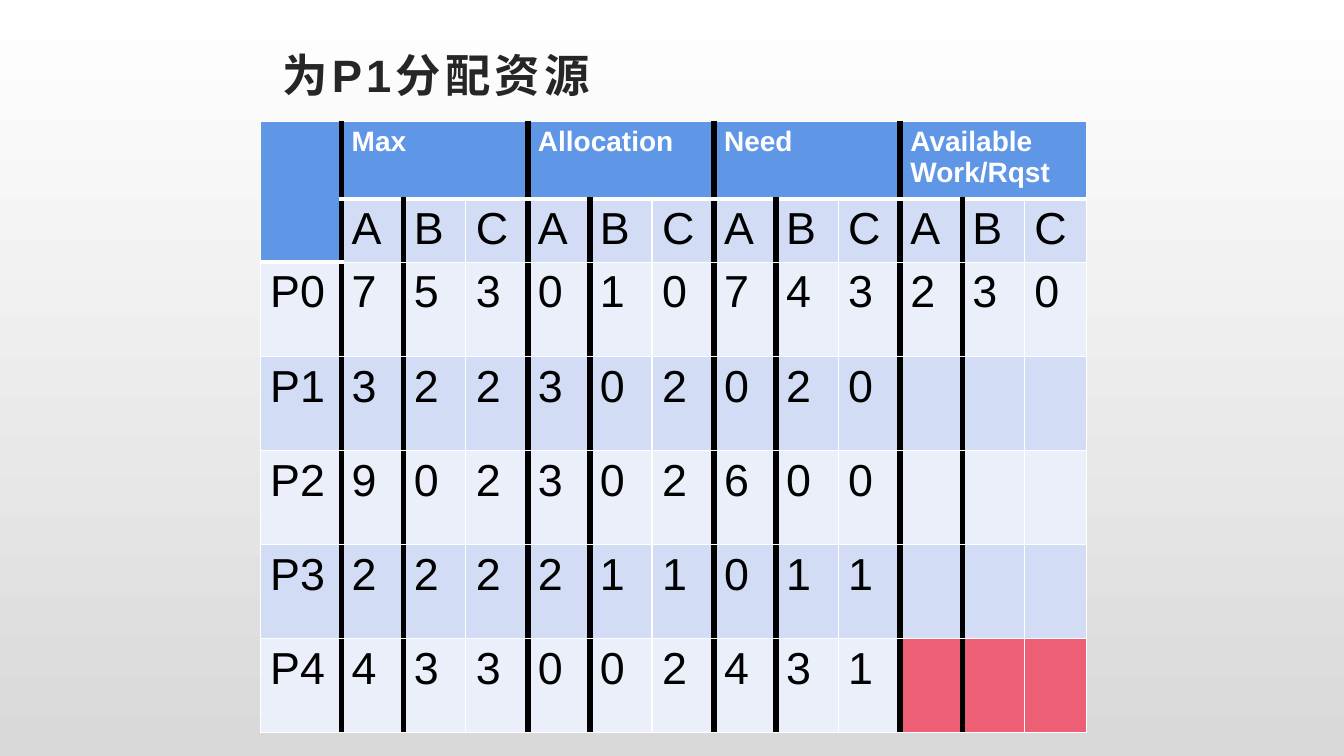
"""Build a slide with the banker's algorithm resource table for P1."""
from lxml.etree import SubElement
from pptx import Presentation
from pptx.dml.color import RGBColor
from pptx.enum.text import MSO_ANCHOR, PP_ALIGN
from pptx.oxml.ns import qn
from pptx.util import Pt

TITLE = "为P1分配资源"
GROUPS = ["Max", "Allocation", "Need", "Available\nWork/Rqst"]
RESOURCES = ["A", "B", "C"]
PROCESSES = [
    ("P0", "753", "010", "743", "230"),
    ("P1", "322", "302", "020", ""),
    ("P2", "902", "302", "600", ""),
    ("P3", "222", "211", "011", ""),
    ("P4", "433", "002", "431", ""),
]
COLORS = {
    "title": "262626", "header": "6096E6", "dark_band": "D2DDF5",
    "light_band": "EAEFFA", "alert": "EC5F74", "white": "FFFFFF",
    "black": "000000", "bottom": "D9D9D9",
}
FONT = "Arial"
TITLE_BOX = (194.4, 28.8, 572.4, 49)
TABLE_LEFT, TABLE_TOP = 185.8, 86.6
NAME_WIDTH, VALUE_WIDTH = 58.2, 44.35
ROW_HEIGHTS = [55.4, 45.4] + [67.2] * len(PROCESSES)
THIN, MEDIUM, THICK = 1, 3, 4.5


def rgb(name):
    return RGBColor.from_string(COLORS[name])


def add_run(para, text, size, color, bold):
    span = para.add_run()
    span.text = text
    span.font.name = FONT
    span.font.size = Pt(size)
    span.font.bold = bold
    span.font.color.rgb = rgb(color)
    return span


def write_cell(cell, text, size, color, bold):
    frame = cell.text_frame
    for number, line in enumerate(text.split("\n")):
        para = frame.add_paragraph() if number else frame.paragraphs[0]
        add_run(para, line, size, color, bold)


def column_line(row, edge):
    """Return the line right of a column: thick at groups and after each A."""
    inner = 0 <= edge < len(GROUPS) * 3
    thick = inner and (edge % 3 == 0 or (edge % 3 == 1 and row > 0))
    return ("black", THICK) if thick else ("white", THIN)


def row_line(row, col):
    """Return the line below a row: heavier under the header cells."""
    under_header = (row == 0 and col > 0) or (row == 1 and col == 0)
    return ("white", MEDIUM if under_header else THIN)


def set_borders(cell, row, col):
    lines = {
        "a:lnL": column_line(row, col - 1),
        "a:lnR": column_line(row, col),
        "a:lnT": row_line(row - 1, col),
        "a:lnB": row_line(row, col),
    }
    properties = cell._tc.get_or_add_tcPr()
    for tag, (color, width) in lines.items():
        line = SubElement(properties, qn(tag), w=str(Pt(width)), cmpd="sng")
        fill = SubElement(line, qn("a:solidFill"))
        SubElement(fill, qn("a:srgbClr"), val=COLORS[color])


def cell_fill(row, col):
    if row == 0 or (row == 1 and col == 0):
        return "header"
    if row == len(PROCESSES) + 1 and col > 9:
        return "alert"
    return "dark_band" if row % 2 else "light_band"


def add_title(page):
    box = page.shapes.title
    box.left, box.top, box.width, box.height = map(Pt, TITLE_BOX)
    frame = box.text_frame
    frame.vertical_anchor = MSO_ANCHOR.MIDDLE
    para = frame.paragraphs[0]
    para.alignment = PP_ALIGN.LEFT
    span = add_run(para, TITLE, 32.4, "title", True)
    span.font._element.set("spc", "300")


def add_resource_table(page):
    columns = 1 + len(GROUPS) * len(RESOURCES)
    width = NAME_WIDTH + VALUE_WIDTH * (columns - 1)
    table = page.shapes.add_table(
        len(ROW_HEIGHTS), columns, Pt(TABLE_LEFT), Pt(TABLE_TOP),
        Pt(width), Pt(sum(ROW_HEIGHTS))).table
    table.first_row = table.horz_banding = False
    for col, column in enumerate(table.columns):
        column.width = Pt(VALUE_WIDTH if col else NAME_WIDTH)
    for row, height in enumerate(ROW_HEIGHTS):
        table.rows[row].height = Pt(height)
        for col in range(columns):
            cell = table.cell(row, col)
            set_borders(cell, row, col)
            cell.fill.solid()
            cell.fill.fore_color.rgb = rgb(cell_fill(row, col))

    table.cell(0, 0).merge(table.cell(1, 0))
    for group, label in enumerate(GROUPS):
        start = 1 + group * len(RESOURCES)
        table.cell(0, start).merge(table.cell(0, start + 2))
        write_cell(table.cell(0, start), label, 20, "white", True)
        for offset, resource in enumerate(RESOURCES):
            write_cell(table.cell(1, start + offset), resource, 32, "black", False)
        for row, process in enumerate(PROCESSES, 2):
            for offset, value in enumerate(process[group + 1]):
                write_cell(table.cell(row, start + offset), value, 32, "black", False)
    for row, process in enumerate(PROCESSES, 2):
        write_cell(table.cell(row, 0), process[0], 32, "black", False)


def main():
    deck = Presentation()
    deck.slide_width, deck.slide_height = Pt(960), Pt(540)
    page = deck.slides.add_slide(deck.slide_layouts[5])
    backdrop = page.background.fill
    backdrop.gradient()
    backdrop.gradient_angle = 270
    for stop, color in zip(backdrop.gradient_stops, ("white", "bottom")):
        stop.color.rgb = rgb(color)
    add_title(page)
    add_resource_table(page)
    deck.save("out.pptx")


if __name__ == "__main__":
    main()
